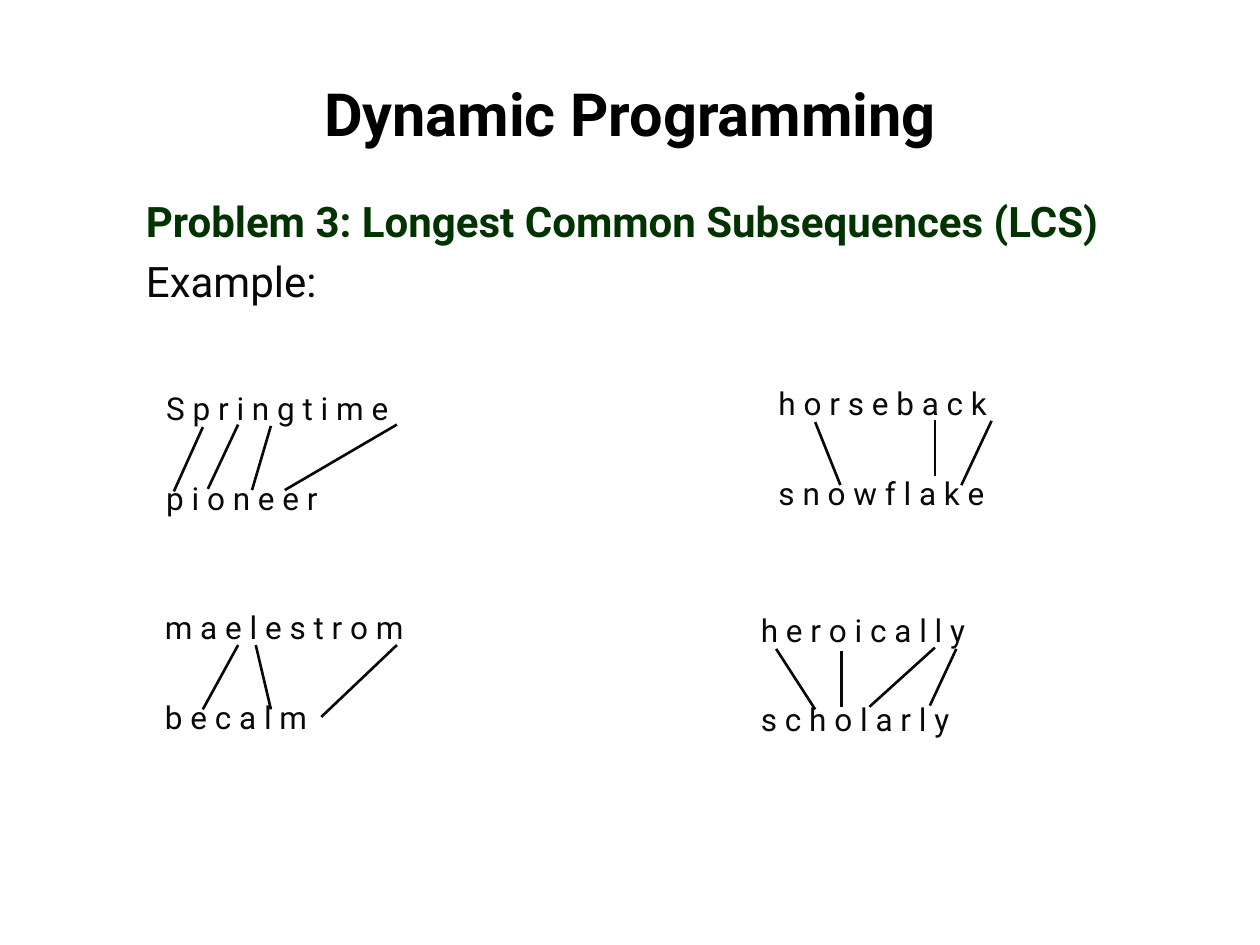
from lxml.etree import SubElement
from pptx import Presentation
from pptx.dml.color import RGBColor
from pptx.enum.shapes import MSO_CONNECTOR
from pptx.enum.text import MSO_ANCHOR, MSO_AUTO_SIZE, PP_ALIGN
from pptx.oxml.ns import qn
from pptx.util import Inches, Pt

FONT = "Roboto"
COLORS = {"title": "000000", "heading": "003300", "body": "080808"}
WORD_W, WORD_H, WORD_GAP = 2.68, 0.4, 0.71

# Each pair: left, top, upper word, lower word, matches (x1, y1, x2, y2)
PAIRS = [
    (1.22, 3.04, "Springtime", "pioneer",
     [(1.61, 3.39, 1.38, 3.9), (1.89, 3.37, 1.65, 3.88),
      (2.15, 3.38, 2, 3.89), (3.15, 3.37, 2.26, 3.89)]),
    (6.08, 3, "horseback", "snowflake",
     [(6.47, 3.35, 6.67, 3.85), (7.42, 3.33, 7.42, 3.78),
      (7.87, 3.34, 7.63, 3.85)]),
    (1.21, 4.78, "maelestrom", "becalm",
     [(1.89, 5.12, 1.61, 5.63), (2.03, 5.12, 2.15, 5.63),
      (3.15, 5.12, 2.55, 5.69)]),
    (5.94, 4.8, "heroically", "scholarly",
     [(6.16, 5.15, 6.47, 5.63), (6.68, 5.17, 6.68, 5.61),
      (7.42, 5.14, 6.9, 5.61), (7.59, 5.15, 7.38, 5.6)]),
]


def style(p, size, color, bold=False):
    for r in p.runs:
        r.font.name = FONT
        r.font.size = Pt(size)
        r.font.bold = bold
        r.font.color.rgb = RGBColor.from_string(COLORS[color])


def add_box(shapes, x, y, w, h):
    tf = shapes.add_textbox(Inches(x), Inches(y), Inches(w), Inches(h)).text_frame
    tf.word_wrap = True
    return tf


def set_title(s, text):
    sp = s.shapes.title
    sp.left, sp.top, sp.width, sp.height = map(Inches, (0.5, 0.5, 9, 0.79))
    tf = sp.text_frame
    tf.text = text
    tf.vertical_anchor = MSO_ANCHOR.MIDDLE
    p = tf.paragraphs[0]
    p.alignment = PP_ALIGN.CENTER
    style(p, 34, "title", bold=True)


def add_body(s, heading, text):
    tf = add_box(s.shapes, 1.06, 1.5, 7.87, 4.5)
    tf.text = f"{heading}\n{text}"
    first, second = tf.paragraphs
    first.alignment = second.alignment = PP_ALIGN.JUSTIFY
    second.space_before = Pt(5.6)
    style(first, 24, "heading", bold=True)
    style(second, 24, "body")


def add_word(shapes, x, y, word):
    tf = add_box(shapes, x, y, WORD_W, WORD_H)
    tf.auto_size = MSO_AUTO_SIZE.SHAPE_TO_FIT_TEXT
    tf.text = " ".join(word)
    style(tf.paragraphs[0], 18, "body")


def add_match(shapes, ends):
    line = shapes.add_connector(MSO_CONNECTOR.STRAIGHT, *map(Inches, ends))
    line.line.color.rgb = RGBColor.from_string(COLORS["body"])
    line.line.width = Pt(1.5)
    SubElement(line._element.spPr, qn("a:effectLst"))


def add_pair(s, x, y, upper, lower, matches):
    shapes = s.shapes.add_group_shape().shapes
    add_word(shapes, x, y, upper)
    add_word(shapes, x, y + WORD_GAP, lower)
    for ends in matches:
        add_match(shapes, ends)


def main():
    prs = Presentation()
    prs.slide_width, prs.slide_height = Inches(10), Inches(7.5)
    s = prs.slides.add_slide(prs.slide_layouts[5])

    # Heading and introduction
    set_title(s, "Dynamic Programming")
    add_body(s, "Problem 3: Longest Common Subsequences (LCS)", "Example:")

    # Word pairs with their matching letters
    for pair in PAIRS:
        add_pair(s, *pair)

    prs.save("out.pptx")


if __name__ == "__main__":
    main()
